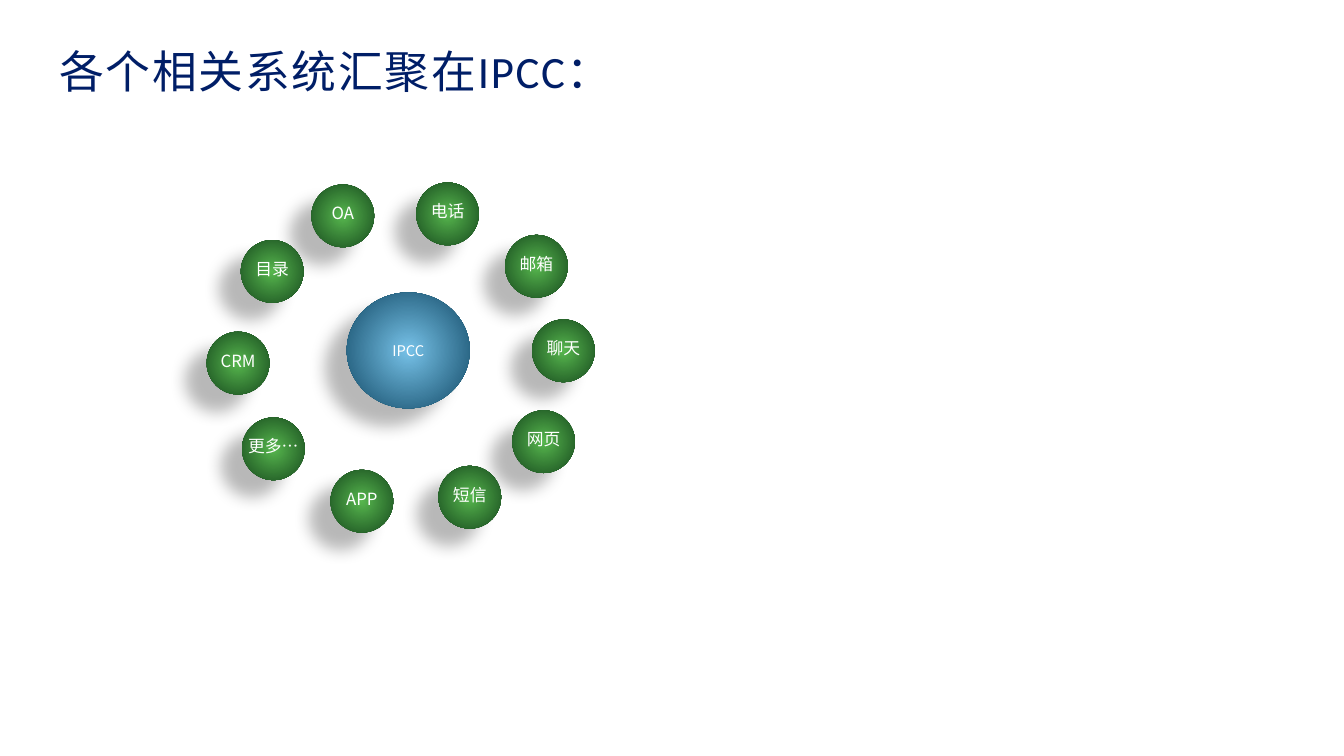
import pptx
import pptx.dml.color
import pptx.enum.shapes
import pptx.enum.text
import pptx.oxml
import pptx.oxml.ns
import pptx.util
from dataclasses import dataclass

Cm = pptx.util.Cm
Pt = pptx.util.Pt
qn = pptx.oxml.ns.qn
NS = pptx.oxml.ns.nsdecls("a")


@dataclass(frozen=True)
class Theme:
    navy: str = "001E67"
    white: str = "FFFFFF"
    blue: tuple = ("77C2E8", "114864")
    green: tuple = ("57B74E", "17491E")
    latin: str = "Calibri"
    cjk: str = "Noto Sans CJK JP"
    head: float = 32
    hub: float = 10.5
    node: float = 12


THEME = Theme()
DISC = 1.58
LABEL = (2.34, 0.61)
# Left and top of each disc, in cm from the corner of the ring
NODES = [
    ("OA", 2.64, 0.05), ("电话", 5.28, 0), ("邮箱", 7.52, 1.32),
    ("聊天", 8.2, 3.45), ("网页", 7.7, 5.74), ("短信", 5.84, 7.14),
    ("APP", 3.12, 7.24), ("目录", 0.86, 1.45), ("CRM", 0, 3.76),
    ("更多…", 0.89, 5.92),
]


def rgb(code):
    return pptx.dml.color.RGBColor.from_string(code)


def write(frame, text, size, color, font, align=None, lead=1.0):
    frame.text = text
    para = frame.paragraphs[0]
    para.alignment = align
    para.line_spacing = lead
    run = para.runs[0]
    run.font.size = Pt(size)
    run.font.name = font
    run.font.color.rgb = rgb(color)
    east = pptx.oxml.parse_xml(f'<a:ea {NS} typeface="{THEME.cjk}"/>')
    run.font._element.find(qn("a:latin")).addnext(east)
    return run


def add_ball(shapes, box, tones):
    """Draw a disc with a radial gradient and a soft shadow to its lower left."""
    ball = shapes.add_shape(
        pptx.enum.shapes.MSO_SHAPE.OVAL, *(Cm(side) for side in box))
    ball.line.fill.background()
    ball.fill.gradient()
    for stop, tone, place in zip(ball.fill.gradient_stops, tones, (0, 1)):
        stop.color.rgb = rgb(tone)
        stop.position = place
    grad = ball._element.spPr.find(qn("a:gradFill"))
    grad.replace(grad.find(qn("a:lin")), pptx.oxml.parse_xml(
        f'<a:path {NS} path="circle">'
        '<a:fillToRect l="50000" t="50000" r="50000" b="50000"/></a:path>'))
    ball.shadow.inherit = False
    ball._element.spPr.find(qn("a:effectLst")).append(pptx.oxml.parse_xml(
        f'<a:outerShdw {NS} blurRad="{Pt(11.8)}" dist="{Pt(19.7)}" '
        'dir="8460000" algn="ctr" rotWithShape="0"><a:srgbClr val="000000">'
        '<a:alpha val="28000"/></a:srgbClr></a:outerShdw>'))
    return ball


def add_node(shapes, text, left, top):
    group = shapes.add_group_shape().shapes
    add_ball(group, (left, top, DISC, DISC), THEME.green)
    wide, high = LABEL
    label = group.add_textbox(
        Cm(left + (DISC - wide) / 2), Cm(top + 0.44), Cm(wide), Cm(high))
    label.text_frame.word_wrap = True
    write(label.text_frame, text, THEME.node, THEME.white, THEME.cjk,
          pptx.enum.text.PP_ALIGN.CENTER, 0.8)


def add_ring(shapes, left, top):
    hub = add_ball(shapes, (left + 3.53, top + 2.77, 3.1, 2.92), THEME.blue)
    frame = hub.text_frame
    frame.vertical_anchor = pptx.enum.text.MSO_ANCHOR.MIDDLE
    write(frame, "IPCC", THEME.hub, THEME.white, THEME.cjk,
          pptx.enum.text.PP_ALIGN.CENTER)
    for text, across, down in NODES:
        add_node(shapes, text, left + across, top + down)


def add_title(slide, text, left, top, wide, high):
    title = slide.shapes.title
    title.left, title.top = Cm(left), Cm(top)
    title.width, title.height = Cm(wide), Cm(high)
    frame = title.text_frame
    frame.vertical_anchor = pptx.enum.text.MSO_ANCHOR.MIDDLE
    frame.auto_size = pptx.enum.text.MSO_AUTO_SIZE.NONE
    run = write(frame, text, THEME.head, THEME.navy, THEME.latin,
                pptx.enum.text.PP_ALIGN.LEFT, 0.9)
    run.font._element.set("spc", "120")


def main():
    deck = pptx.Presentation()
    deck.slide_width, deck.slide_height = Cm(33.87), Cm(19.05)
    slide = deck.slides.add_slide(deck.slide_layouts.get_by_name("Title Only"))
    add_title(slide, "各个相关系统汇聚在IPCC：", 1.24, 1.24, 29.21, 1.27)
    add_ring(slide.shapes, 5.21, 4.6)
    deck.save("out.pptx")


if __name__ == "__main__":
    main()
